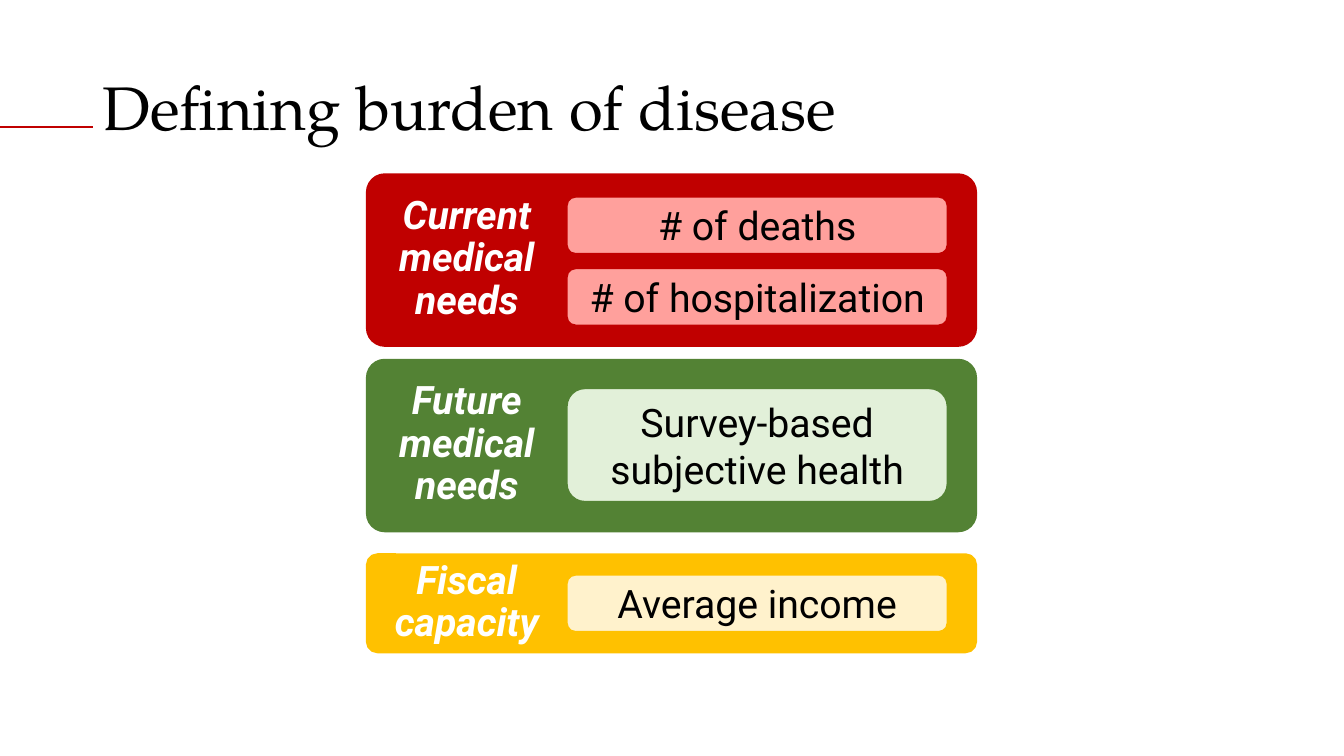
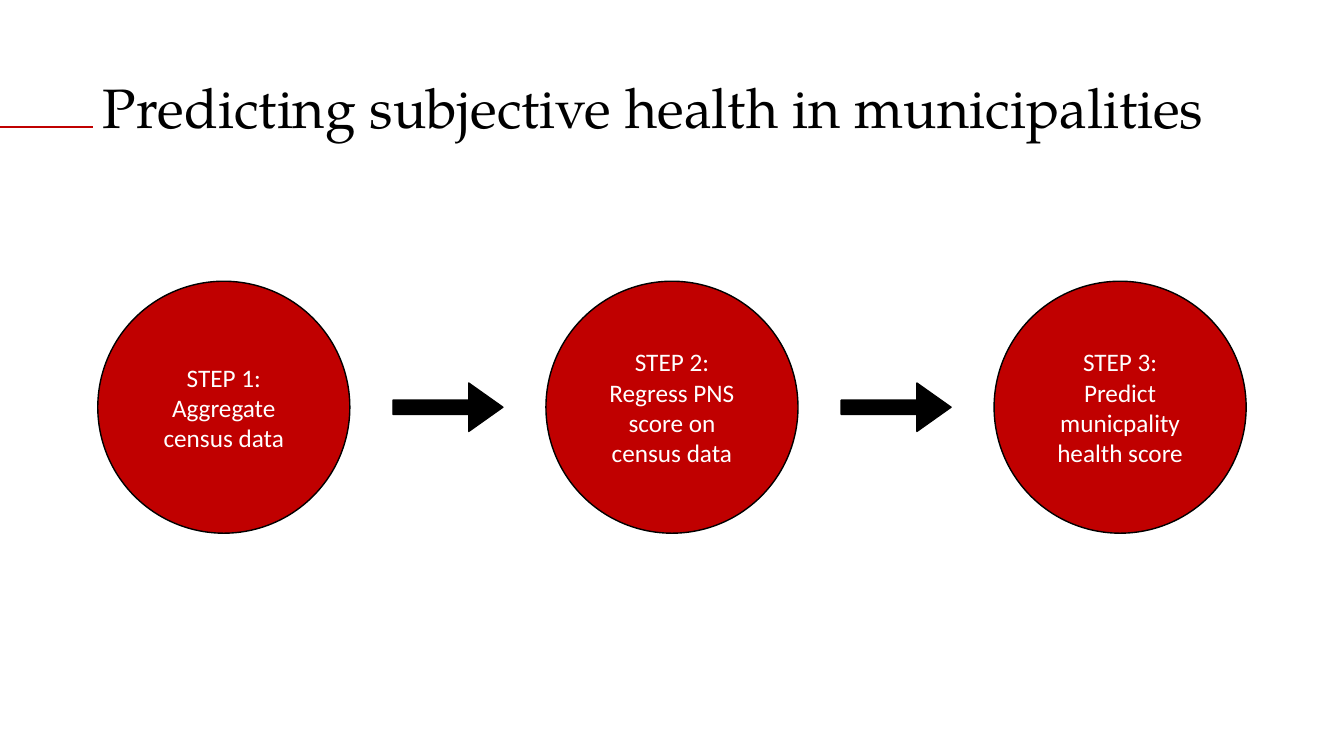
from pptx import Presentation
from pptx.dml.color import RGBColor
from pptx.enum.shapes import MSO_CONNECTOR, MSO_SHAPE
from pptx.enum.text import MSO_ANCHOR, PP_ALIGN
from pptx.oxml.ns import qn
from pptx.util import Inches, Pt
from lxml import etree

BLACK = RGBColor(0x00, 0x00, 0x00)
WHITE = RGBColor(0xFF, 0xFF, 0xFF)
RED = RGBColor(0xC0, 0x00, 0x00)
PINK = RGBColor(0xFF, 0xA0, 0x9C)
GREEN = RGBColor(0x53, 0x82, 0x34)
PALE_GREEN = RGBColor(0xE2, 0xF0, 0xD9)
YELLOW = RGBColor(0xFF, 0xC1, 0x00)
PALE_YELLOW = RGBColor(0xFF, 0xF2, 0xCC)

TITLE_FONT, PANEL_FONT, STEP_FONT = "TeX Gyre Pagella", "Roboto", "Calibri"
MARGIN = 0.92


def write_text(shape, lines, font_name, size, color, align=PP_ALIGN.CENTER,
               anchor=MSO_ANCHOR.MIDDLE, spacing=1.0, emphasis=False):
    """Fill a shape with one paragraph per line, all in one style."""
    frame = shape.text_frame
    frame.word_wrap = True
    frame.vertical_anchor = anchor
    frame.text = "\n".join(lines)
    for paragraph in frame.paragraphs:
        paragraph.alignment = align
        paragraph.line_spacing = spacing
        font = paragraph.font
        font.name, font.size = font_name, Pt(size)
        font.bold = font.italic = emphasis
        font.color.rgb = color


def add_box(slide, kind, left, top, width, height, fill, line, line_width):
    shape = slide.shapes.add_shape(kind, Inches(left), Inches(top),
                                   Inches(width), Inches(height))
    shape.shadow.inherit = False
    shape.fill.solid()
    shape.fill.fore_color.rgb = fill
    shape.line.color.rgb = line
    shape.line.width = Pt(line_width)
    return shape


def add_text_box(slide, left, top, width, height):
    return slide.shapes.add_textbox(Inches(left), Inches(top),
                                    Inches(width), Inches(height))


def add_titled_slide(presentation, title, size):
    """Blank slide with the shared title and the red rule at its left."""
    slide = presentation.slides.add_slide(presentation.slide_layouts[6])
    title_box = add_text_box(slide, MARGIN, 0.4, 11.5, 1.4)
    write_text(title_box, [title], TITLE_FONT, size, BLACK,
               align=PP_ALIGN.LEFT, spacing=0.9)
    rule = slide.shapes.add_connector(MSO_CONNECTOR.STRAIGHT, Inches(0),
                                      Inches(1.26), Inches(MARGIN), Inches(1.26))
    rule.line.color.rgb = RED
    rule.line.width = Pt(1.5)
    etree.SubElement(rule._element.spPr, qn("a:effectLst"))
    return slide


def add_panel(slide, top, height, color, item_color, label, label_offset,
              items, item_offset, item_height):
    """Coloured panel: label on the left, stacked items on the right."""
    left, label_width, item_gap = 3.65, 1.96, 0.12
    panel = add_box(slide, MSO_SHAPE.ROUNDED_RECTANGLE, left, top, 6.02, height,
                    color, color, 3)
    panel.adjustments[0] = 0.099
    label_box = add_text_box(slide, left, top + label_offset, label_width,
                             height - 2 * label_offset)
    write_text(label_box, label, PANEL_FONT, 28, WHITE,
               anchor=MSO_ANCHOR.TOP, spacing=0.9, emphasis=True)
    for index, item in enumerate(items):
        item_top = top + item_offset + index * (item_height + item_gap)
        item_box = add_box(slide, MSO_SHAPE.ROUNDED_RECTANGLE, left + label_width,
                           item_top, 3.8, item_height, item_color, color, 3)
        write_text(item_box, [item], PANEL_FONT, 28, BLACK)


def add_steps(slide, steps, left, top):
    """Row of circles with an arrow between each pair."""
    diameter, pitch = 2.5, 4.445
    arrow_width, arrow_height = 1.09, 0.48
    for index, step in enumerate(steps):
        step_left = left + index * pitch
        circle = add_box(slide, MSO_SHAPE.OVAL, step_left, top, diameter, diameter,
                         RED, BLACK, 1)
        write_text(circle, [f"STEP {index + 1}:", step], STEP_FONT, 18, WHITE)
        if index < len(steps) - 1:
            gap = pitch - diameter
            arrow = add_box(slide, MSO_SHAPE.RIGHT_ARROW,
                            step_left + diameter + (gap - arrow_width) / 2,
                            top + (diameter - arrow_height) / 2,
                            arrow_width, arrow_height, BLACK, BLACK, 1)
            arrow.adjustments[0] = 0.295
            arrow.adjustments[1] = 0.705


def build_burden_slide(presentation):
    slide = add_titled_slide(presentation, "Defining burden of disease", 44)
    add_panel(slide, 1.74, 1.68, RED, PINK, ["Current", "medical", "needs"], 0.15,
              ["# of deaths", "# of hospitalization"], 0.2, 0.59)
    add_panel(slide, 3.58, 1.68, GREEN, PALE_GREEN, ["Future", "medical", "needs"],
              0.15, ["Survey-based subjective health"], 0.26, 1.15)
    add_panel(slide, 5.51, 0.95, YELLOW, PALE_YELLOW, ["Fiscal capacity"], 0,
              ["Average income"], 0.18, 0.59)


def build_prediction_slide(presentation):
    slide = add_titled_slide(
        presentation, "Predicting subjective health in municipalities", 39.6)
    add_steps(slide, ["Aggregate census data", "Regress PNS score on census data",
                      "Predict municpality health score"], 0.97, 2.79)


def main():
    presentation = Presentation()
    presentation.slide_width = Inches(13.33)
    presentation.slide_height = Inches(7.5)
    build_burden_slide(presentation)
    build_prediction_slide(presentation)
    presentation.save("out.pptx")


if __name__ == "__main__":
    main()
